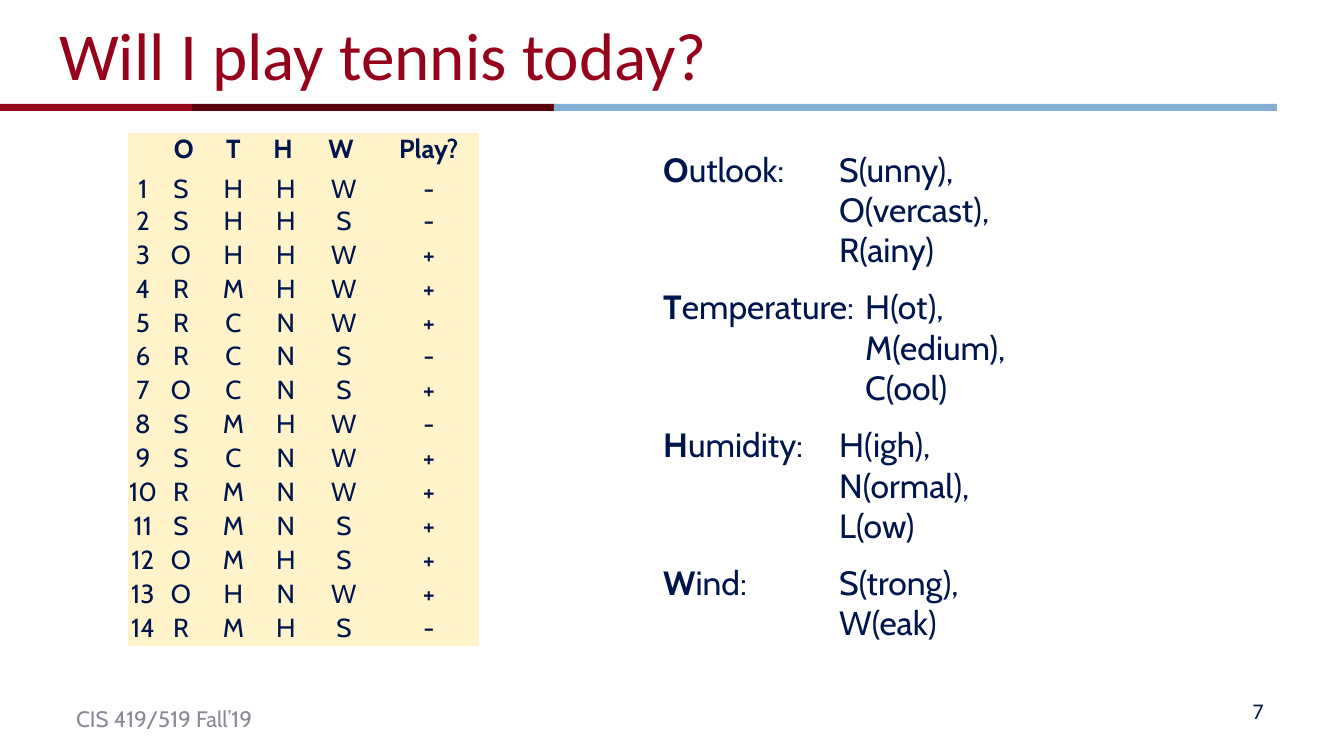
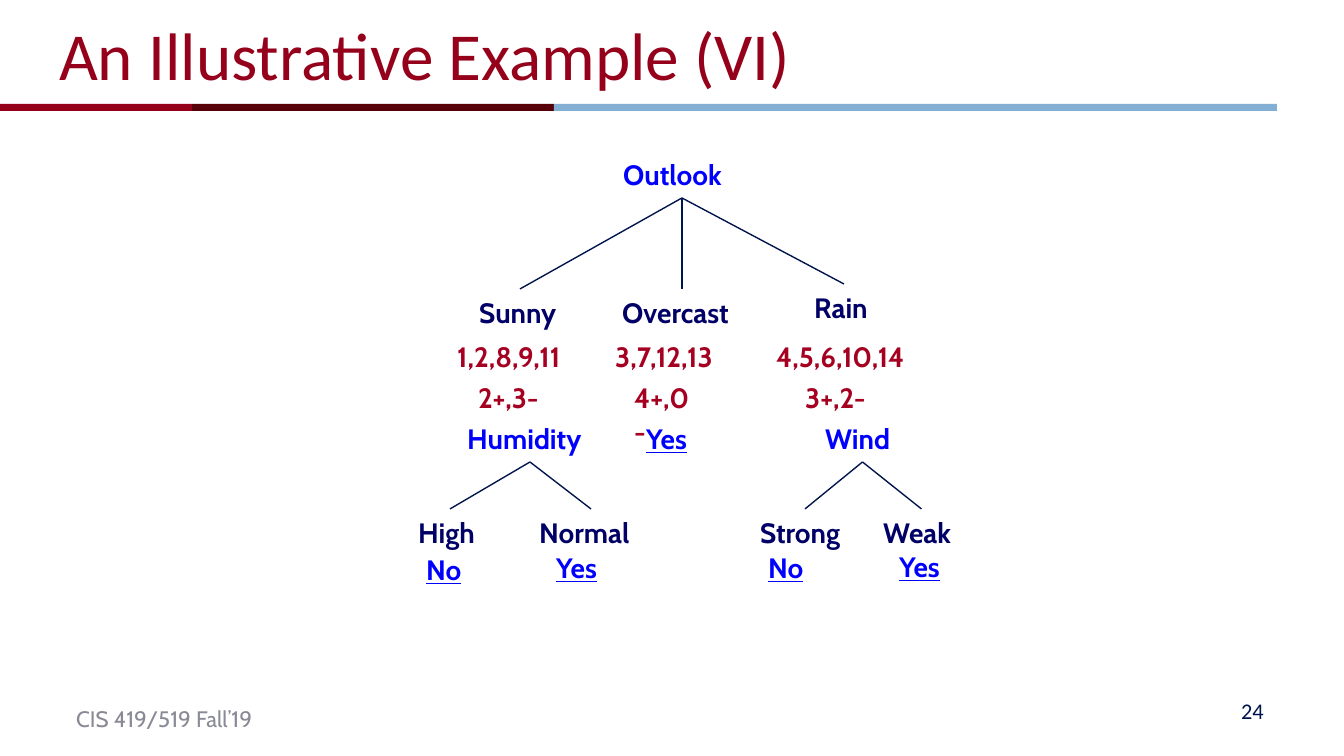
"""Build two lecture slides on decision trees: the tennis data and the learned tree."""
import pptx
import pptx.util
import pptx.dml.color
import pptx.enum.shapes
import pptx.enum.text
import pptx.oxml.ns
import lxml.etree

RGB = pptx.dml.color.RGBColor
CRIMSON = RGB(0x95, 0x00, 0x1A)
MAROON = RGB(0x57, 0x00, 0x0A)
SKY = RGB(0x82, 0xAF, 0xD3)
NAVY = RGB(0x00, 0x14, 0x4D)
GREY = RGB(0x89, 0x8A, 0x96)
CREAM = RGB(0xFF, 0xF4, 0xC9)
BLUE = RGB(0x00, 0x00, 0xFF)
INDIGO = RGB(0x00, 0x00, 0x66)
RED = RGB(0xA5, 0x00, 0x21)
ALIGN = pptx.enum.text.PP_ALIGN
ANCHOR = pptx.enum.text.MSO_ANCHOR
AUTO = pptx.enum.text.MSO_AUTO_SIZE
qn = pptx.oxml.ns.qn


def px(n):
    return round(n * 914400 / 134.4)


def add_text(s, text, left, top, width, height, size, color, font="Cabin", wrap=True):
    box = s.shapes.add_textbox(px(left), px(top), px(width), px(height))
    tf = box.text_frame
    tf.text = text
    tf.word_wrap = wrap
    tf.auto_size = AUTO.NONE if wrap else AUTO.SHAPE_TO_FIT_TEXT
    f = tf.paragraphs[0].runs[0].font
    f.name, f.size, f.color.rgb = font, pptx.util.Pt(size), color
    return box


prs = pptx.Presentation()
prs.slide_width, prs.slide_height = px(1344), px(756)

BAND_EDGES = [-1, 192, 554, 1277]
slides = []
for title, number in [("Will I play tennis today?", "7"), ("An Illustrative Example (VI)", "24")]:
    s = prs.slides.add_slide(prs.slide_layouts[6])
    slides.append(s)
    add_text(s, "CIS 419/519 Fall’19", 63, 699, 204, 40, 12, GREY, wrap=False)
    for left, right, color in zip(BAND_EDGES, BAND_EDGES[1:], [CRIMSON, MAROON, SKY]):
        band = s.shapes.add_shape(pptx.enum.shapes.MSO_SHAPE.RECTANGLE,
                                  px(left), px(104), px(right - left), px(7))
        band.shadow.inherit = False
        band.fill.solid()
        band.fill.fore_color.rgb = color
        band.line.fill.background()
    box = add_text(s, number, 964, 691, 313, 40, 12, NAVY, "Calibri")
    box.text_frame.vertical_anchor = ANCHOR.MIDDLE
    box.text_frame.paragraphs[0].alignment = ALIGN.RIGHT
    box = add_text(s, title, 46, 3, 1210, 102, 36, CRIMSON, "Calibri")
    box.text_frame.vertical_anchor = ANCHOR.MIDDLE

s = slides[0]
features = [
    ("Outlook:", ["S(unny),", "O(vercast),", "R(ainy)"], [176]),
    ("Temperature:", ["H(ot),", "M(edium),", "C(ool)"], [176, 202]),
    ("Humidity:", ["H(igh),", "N(ormal),", "L(ow)"], [176]),
    ("Wind:", ["S(trong),", "W(eak)"], [176]),
]
tf = s.shapes.add_textbox(px(650), px(142), px(446), px(523)).text_frame
tf.word_wrap = True
for i, (name, values, stops) in enumerate(features):
    p = tf.add_paragraph() if i else tf.paragraphs[0]
    if i:
        p.space_before = pptx.util.Pt(9)
    tabs = lxml.etree.SubElement(p._p.get_or_add_pPr(), qn("a:tabLst"))
    for stop in stops:
        lxml.etree.SubElement(tabs, qn("a:tab"), pos=str(px(stop)), algn="l")
    p.add_run().text = name[0]
    p.add_run().text = name[1:] + "\t" + values[0]
    for value in values[1:]:
        p.add_line_break()
        p.add_run().text = "\t" * len(stops) + value
    for j, r in enumerate(p.runs):
        r.font.name, r.font.size, r.font.color.rgb = "Cabin", pptx.util.Pt(18), NAVY
        r.font.bold = j == 0

days = ["SHHW-", "SHHS-", "OHHW+", "RMHW+", "RCNW+", "RCNS-", "OCNS+",
        "SMHW-", "SCNW+", "RMNW+", "SMNS+", "OMHS+", "OHNW+", "RMHS-"]
rows = [["", " O", "T", "H ", "W ", "Play?"]]
rows += [[str(n), *day] for n, day in enumerate(days, 1)]
widths = [30, 46, 59, 46, 70, 100]
table = s.shapes.add_table(len(rows), len(widths), px(128), px(133),
                           px(sum(widths)), px(34 * len(rows))).table
table.first_row = table.horz_banding = False
table._tbl.tblPr.find(qn("a:tableStyleId")).text = "{2D5ABB26-0587-4C30-8999-92F81FD0307C}"
for column, width in zip(table.columns, widths):
    column.width = px(width)
for i, row in enumerate(rows):
    table.rows[i].height = px(31 if i == 1 else 34)
    for j, text in enumerate(row):
        cell = table.cell(i, j)
        cell.margin_left = cell.margin_right = cell.margin_top = cell.margin_bottom = 0
        cell.fill.solid()
        cell.fill.fore_color.rgb = CREAM
        p = cell.text_frame.paragraphs[0]
        p.alignment = ALIGN.CENTER
        r = p.add_run()
        r.text = text
        r.font.name, r.font.size, r.font.color.rgb = "Cabin", pptx.util.Pt(14), NAVY
        r.font.bold = i == 0

s = slides[1]
attributes = [("Outlook", 610, 151, 144), ("Humidity", 454, 415, 152), ("Wind", 812, 415, 101)]
branches = [("Sunny", 466, 289, 108), ("Overcast", 609, 289, 146), ("Rain", 801, 284, 86),
            ("High", 405, 509, 90), ("Normal", 526, 509, 130),
            ("Strong", 747, 509, 116), ("Weak", 870, 509, 103)]
examples = [("1,2,8,9,11", 444, 333, 152), ("3,7,12,13", 602, 333, 144),
            ("4,5,6,10,14", 763, 333, 167), ("2+,3-", 465, 374, 91),
            ("4+,0-", 621, 374, 87), ("3+,2-", 792, 374, 91)]
answers = [("Yes", 633, 415, 71), ("No", 413, 546, 67), ("Yes", 543, 544, 71),
           ("No", 755, 544, 67), ("Yes", 886, 543, 71)]
nodes = {}
for group, color in [(attributes, BLUE), (branches, INDIGO), (examples, RED), (answers, BLUE)]:
    for text, left, top, width in group:
        box = add_text(s, text, left, top, width, 47, 15, color, wrap=text == "4+,0-")
        f = box.text_frame.paragraphs[0].runs[0].font
        f.bold = True
        if group is answers:
            f.underline = True
        nodes[text] = box

tree = {"Outlook": ["Sunny", "Overcast", "Rain"],
        "Humidity": ["High", "Normal"],
        "Wind": ["Strong", "Weak"]}
for parent, children in tree.items():
    for child in children:
        line = s.shapes.add_connector(pptx.enum.shapes.MSO_CONNECTOR.STRAIGHT, 0, 0, 0, 0)
        line.begin_connect(nodes[parent], 2)
        line.end_connect(nodes[child], 0)
        line.line.color.rgb = NAVY
        line.line.width = pptx.util.Pt(0.75)
        lxml.etree.SubElement(line._element.spPr, qn("a:effectLst"))

prs.save("out.pptx")
